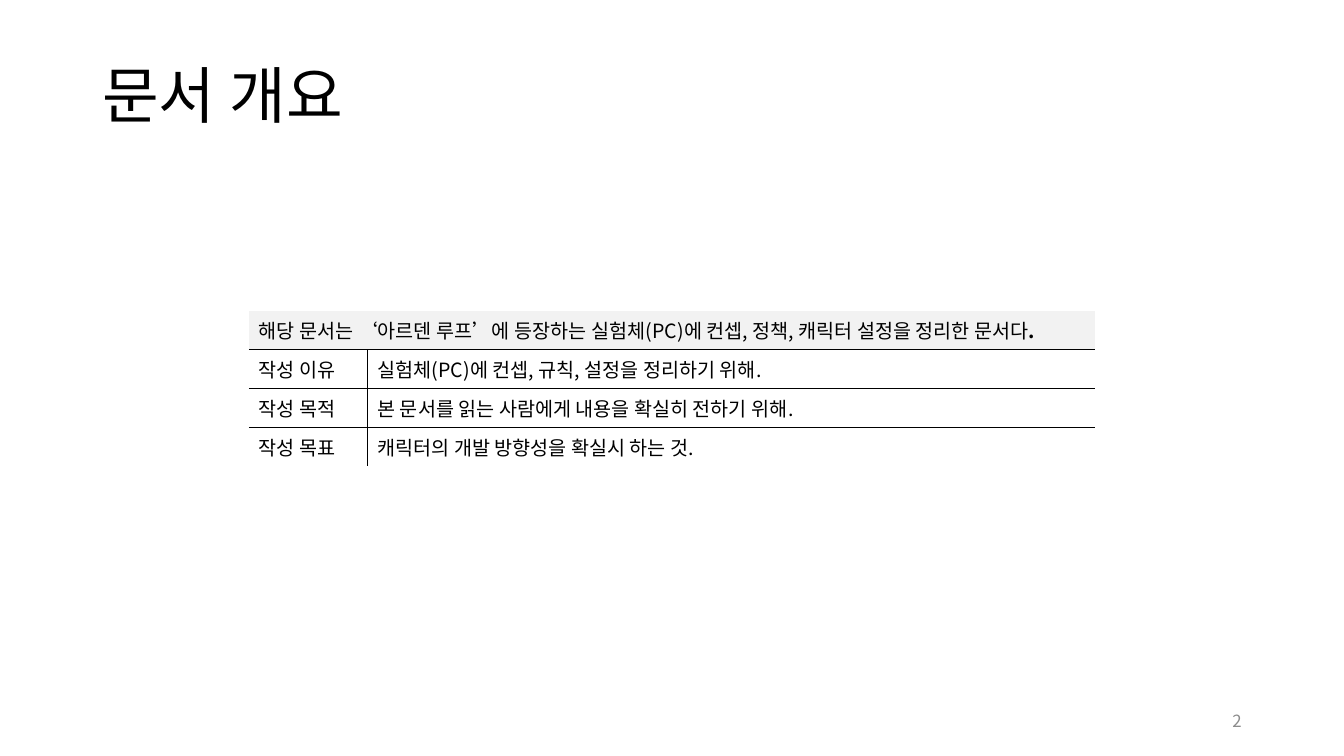
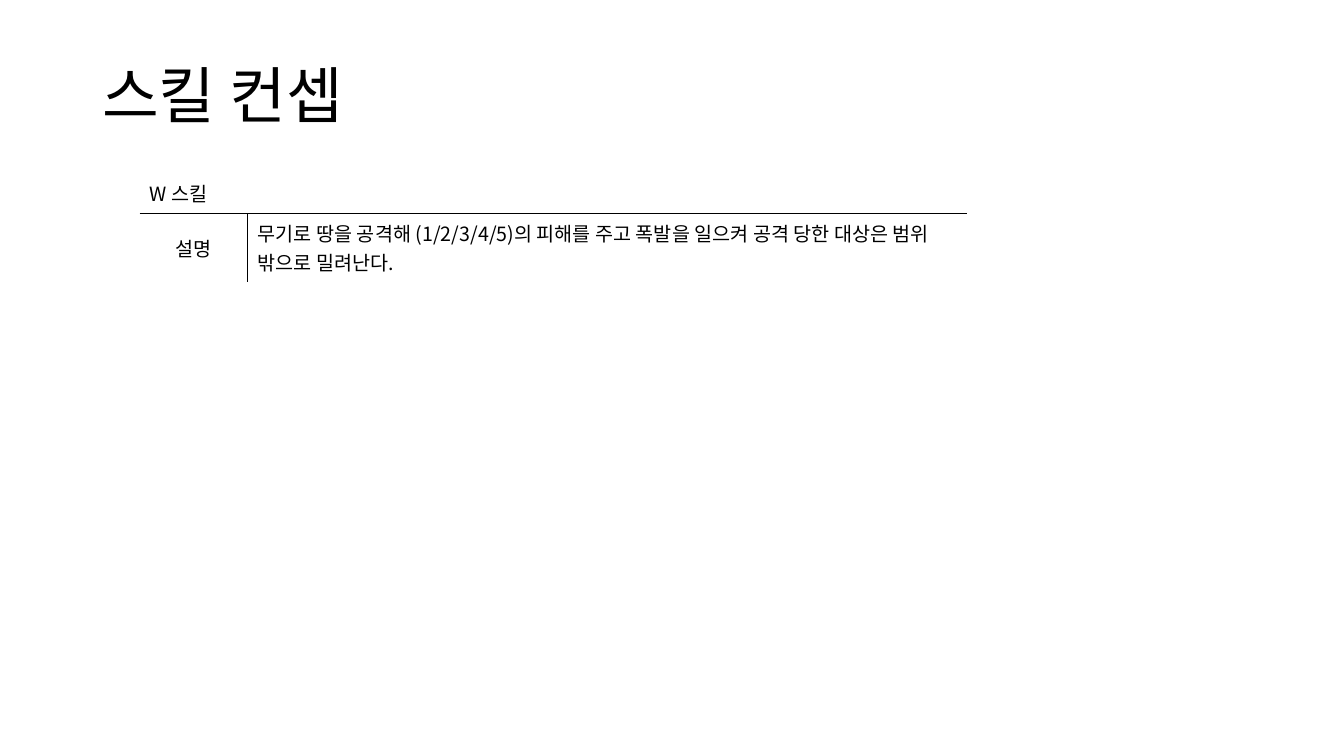
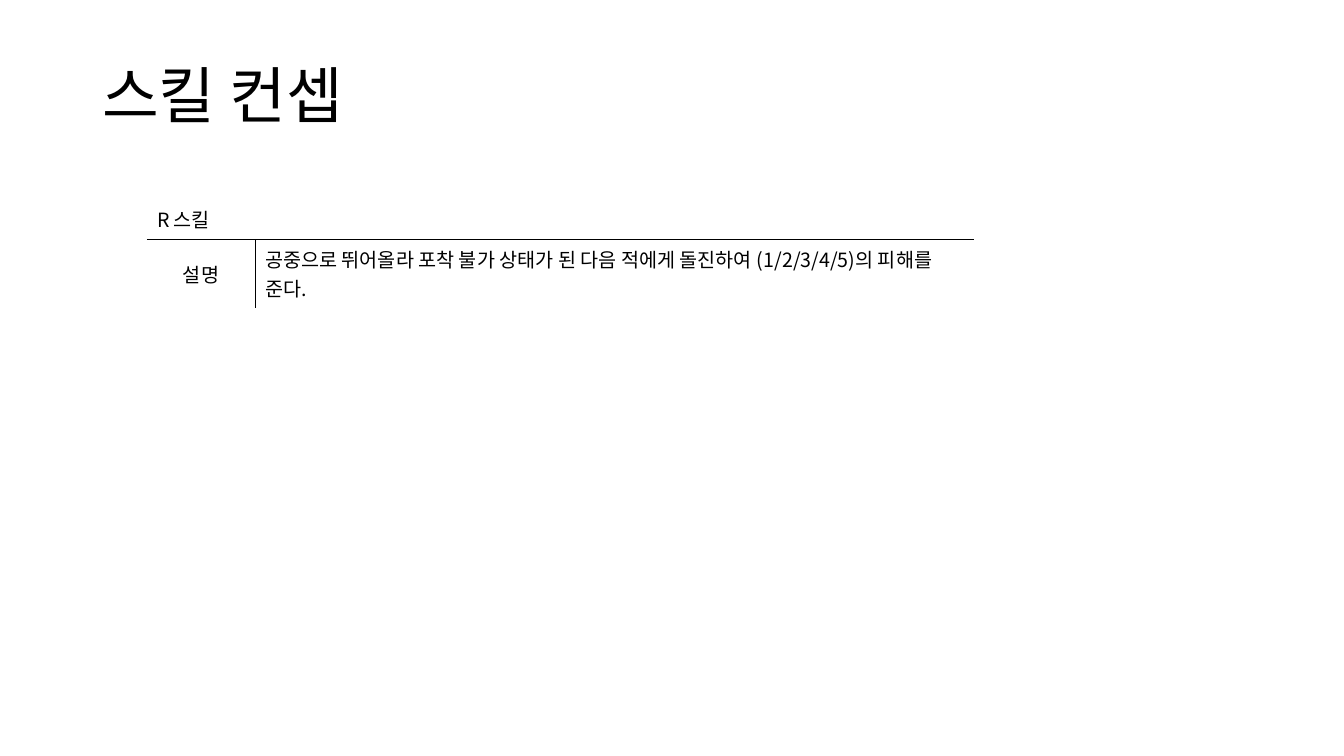
from dataclasses import dataclass

from lxml import etree
from pptx import Presentation
from pptx import util as u
from pptx.dml.color import RGBColor
from pptx.enum import text
from pptx.oxml.ns import qn

PX = 9525  # EMU per px, 96 px to the inch
FONT = "Noto Sans CJK KR"
BLACK, GREY, BAND = "000000", "8C8C8C", "F2F2F2"
NO_STYLE = "{2D5ABB26-0587-4C30-8999-92F81FD0307C}"
MIDDLE, TOP = text.MSO_ANCHOR.MIDDLE, text.MSO_ANCHOR.TOP
LEFT, CENTER, RIGHT = text.PP_ALIGN.LEFT, text.PP_ALIGN.CENTER, text.PP_ALIGN.RIGHT


@dataclass
class Grid:
    """A headed table of label and description rows."""
    left: int
    top: int
    cols: tuple[int, int]
    heights: tuple[int, ...]
    header: str
    rows: list[tuple[str, str]]
    header_end: str = ""
    header_fill: str = ""
    merge_header: bool = False
    label_align: text.PP_ALIGN = LEFT
    body_anchor: text.MSO_ANCHOR = MIDDLE


@dataclass
class Page:
    title: str
    grid: Grid
    number: str = ""


def skill_grid(left: int, top: int, key: str, description: str) -> Grid:
    return Grid(left, top, (103, 685), (36, 65), f"{key} 스킬", [("설명", description)],
                label_align=CENTER, body_anchor=TOP)


PAGES = [
    Page("문서 개요", Grid(
        237, 296, (113, 693), (37,) * 4,
        "해당 문서는 ‘아르덴 루프’에 등장하는 실험체(PC)에 컨셉, 정책, 캐릭터 설정을 정리한 문서다",
        [("작성 이유", "실험체(PC)에 컨셉, 규칙, 설정을 정리하기 위해."),
         ("작성 목적", "본 문서를 읽는 사람에게 내용을 확실히 전하기 위해."),
         ("작성 목표", "캐릭터의 개발 방향성을 확실시 하는 것.")],
        header_end=".", header_fill=BAND, merge_header=True), "2"),
    Page("스킬 컨셉", skill_grid(
        133, 165, "W",
        "무기로 땅을 공격해 (1/2/3/4/5)의 피해를 주고 폭발을 일으켜 공격 당한 대상은 범위 밖으로 밀려난다.")),
    Page("스킬 컨셉", skill_grid(
        140, 190, "R",
        "공중으로 뛰어올라 포착 불가 상태가 된 다음 적에게 돌진하여 (1/2/3/4/5)의 피해를 준다.")),
]


def rgb(color: str) -> RGBColor:
    return RGBColor.from_string(color)


def write(tf, content: str, *, bold_end: str = "", size: int = 14, color: str = BLACK,
          align=LEFT, spacing: float = 1.0) -> None:
    p = tf.paragraphs[0]
    p.alignment = align
    p.line_spacing = spacing
    for part, bold in ((content, False), (bold_end, True)):
        if not part:
            continue
        r = p.add_run()
        r.text = part
        r.font.size = u.Pt(size)
        r.font.bold = bold
        r.font.color.rgb = rgb(color)
        r.font.name = FONT
        etree.SubElement(r.font._element, qn("a:ea"), typeface=FONT)


def add_text(s, left: int, top: int, width: int, height: int, content: str, **fmt) -> None:
    sp = s.shapes.add_textbox(left * PX, top * PX, width * PX, height * PX)
    tf = sp.text_frame
    tf.word_wrap = True
    tf.vertical_anchor = MIDDLE
    write(tf, content, **fmt)


def set_borders(cell, sides: dict[str, bool]) -> None:
    """Draw a thin black line on each wanted side and none on the others."""
    tc_pr = cell._tc.get_or_add_tcPr()
    for side, shown in sides.items():
        ln = etree.SubElement(tc_pr, qn(f"a:ln{side}"), w=str(u.Pt(1)))
        if shown:
            fill = etree.SubElement(ln, qn("a:solidFill"))
            etree.SubElement(fill, qn("a:srgbClr"), val=BLACK)
        else:
            etree.SubElement(ln, qn("a:noFill"))


def add_grid(s, grid: Grid) -> None:
    count = len(grid.heights)
    frame = s.shapes.add_table(count, 2, grid.left * PX, grid.top * PX,
                               sum(grid.cols) * PX, sum(grid.heights) * PX)
    table = frame.table
    table.first_row = table.horz_banding = False
    table._tbl.tblPr.find(qn("a:tableStyleId")).text = NO_STYLE
    for column, width in zip(table.columns, grid.cols):
        column.width = width * PX
    for row, height in zip(table.rows, grid.heights):
        row.height = height * PX

    for i in range(count):
        for j in range(2):
            cell = table.cell(i, j)
            set_borders(cell, {"L": i > 0 and j == 1, "R": i > 0 and j == 0,
                               "T": i > 0, "B": i < count - 1})
            if i == 0 and grid.header_fill:
                cell.fill.solid()
                cell.fill.fore_color.rgb = rgb(grid.header_fill)
            else:
                cell.fill.background()

    if grid.merge_header:
        table.cell(0, 0).merge(table.cell(0, 1))
    write(table.cell(0, 0).text_frame, grid.header, bold_end=grid.header_end)
    for i, (label, body) in enumerate(grid.rows, 1):
        label_cell, body_cell = table.cell(i, 0), table.cell(i, 1)
        label_cell.vertical_anchor = MIDDLE
        body_cell.vertical_anchor = grid.body_anchor
        write(label_cell.text_frame, label, align=grid.label_align)
        write(body_cell.text_frame, body)


def add_page(prs, page: Page) -> None:
    s = prs.slides.add_slide(prs.slide_layouts[6])
    add_text(s, 88, 38, 1104, 112, page.title, size=44, spacing=0.9)
    add_grid(s, page.grid)
    if page.number:
        add_text(s, 904, 667, 288, 38, page.number, size=12, color=GREY, align=RIGHT)


def main() -> None:
    prs = Presentation()
    prs.slide_width, prs.slide_height = 1280 * PX, 720 * PX
    for page in PAGES:
        add_page(prs, page)
    prs.save("out.pptx")


if __name__ == "__main__":
    main()
